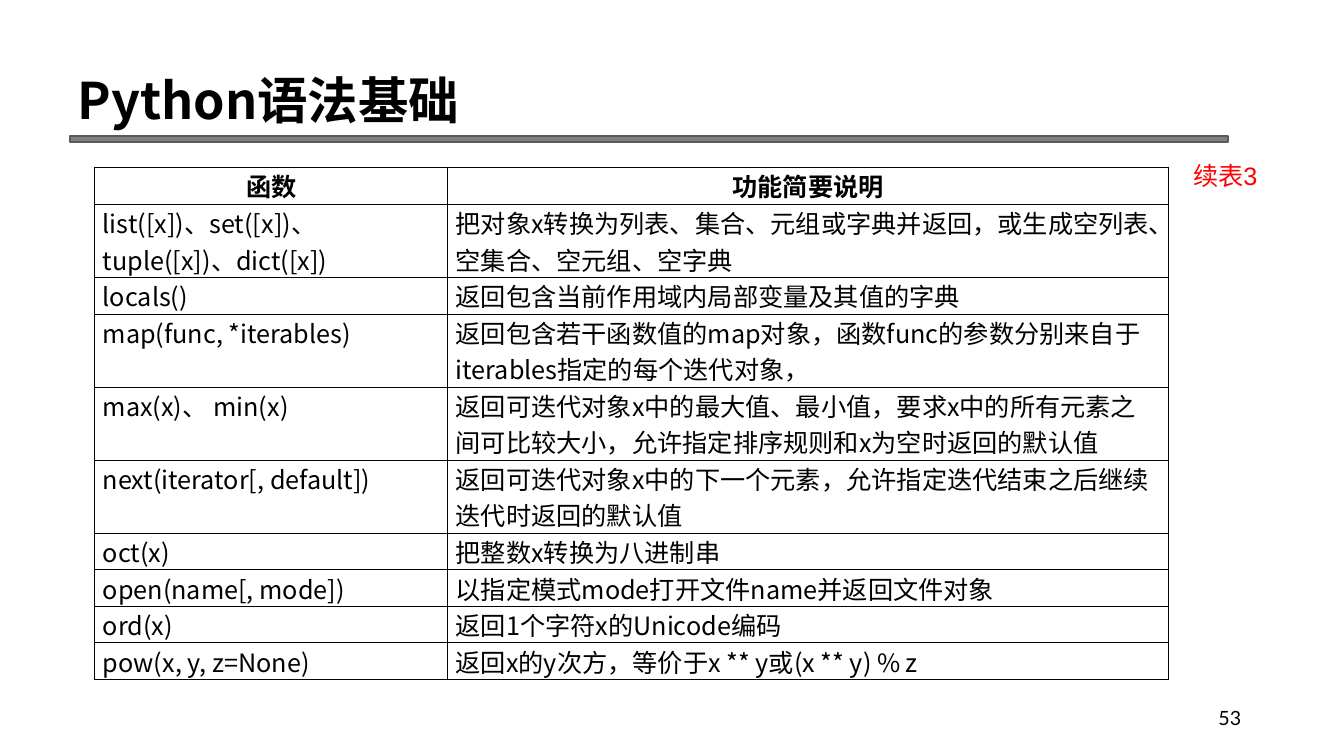
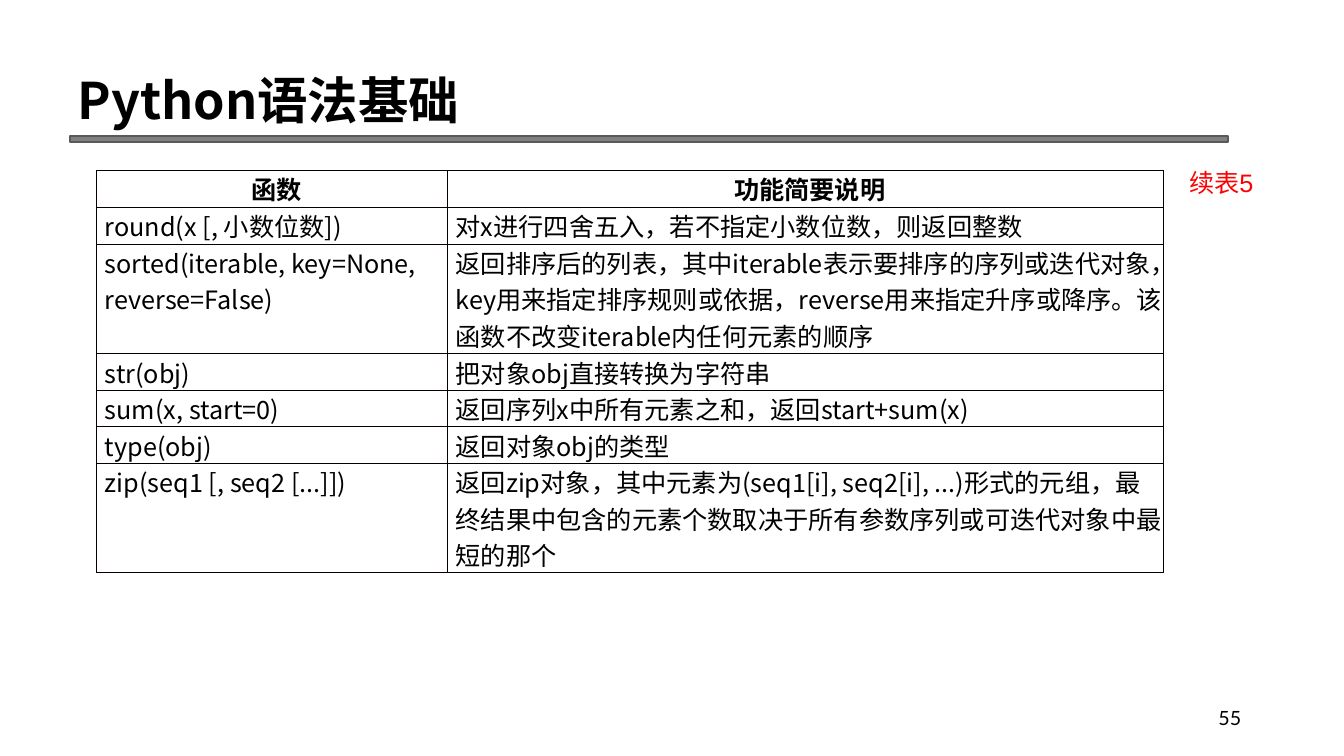
"""Build two slides that list Python built-in functions in tables."""
import dataclasses

import lxml.etree
import pptx
import pptx.dml.color
import pptx.enum.shapes
import pptx.enum.text
import pptx.oxml.ns
import pptx.slide
import pptx.table
import pptx.text.text
import pptx.util

Inches = pptx.util.Inches
Pt = pptx.util.Pt
RGBColor = pptx.dml.color.RGBColor
Align = pptx.enum.text.PP_ALIGN
qn = pptx.oxml.ns.qn

BLACK = RGBColor(0x00, 0x00, 0x00)
RED = RGBColor(0xFF, 0x00, 0x00)
GRAY = RGBColor(0x80, 0x80, 0x80)
DARK = RGBColor(0x59, 0x59, 0x59)
RULE = RGBColor(0x08, 0x00, 0x00)
SANS = "Noto Sans CJK SC"
TITLE = "Python语法基础"


@dataclasses.dataclass(frozen=True)
class Style:
    """Look of a run of text."""
    size: int
    font: str = SANS
    color: RGBColor = BLACK
    bold: bool = False


@dataclasses.dataclass(frozen=True)
class Box:
    """Place of an object in inches."""
    left: float
    top: float
    width: float
    height: float

    def emu(self) -> list[int]:
        """Return the four lengths for python-pptx."""
        return [Inches(v) for v in dataclasses.astuple(self)]


@dataclasses.dataclass(frozen=True)
class Row:
    """One table row and the number of lines it takes."""
    name: str
    use: str
    lines: int = 1


@dataclasses.dataclass(frozen=True)
class Page:
    """Content of one slide."""
    number: str
    label: str
    spot: Box
    left: float
    top: float
    cols: tuple[float, float]
    inset: float
    rows: list[Row]


HEAD = Row("函数", "功能简要说明")
TITLE_STYLE = Style(36, bold=True)
HEAD_STYLE = Style(18, bold=True)
CELL_STYLE = Style(18)
LABEL_STYLE = Style(18, "Arial", RED)
NUMBER_STYLE = Style(14, "Lato")
TITLE_BOX = Box(0.67, 0.09, 11.36, 1.25)
BAR_BOX = Box(0.69, 1.35, 11.49, 0.06)
NUMBER_BOX = Box(9.41, 6.95, 3, 0.4)
HEAD_TALL = Inches(0.37)
LINE_TALL = Pt(26.1)

PAGES = [
    Page("53", "续表3", Box(11.13, 1.54, 1.44, 0.4), 0.94, 1.66, (3.5, 7.15), 0.08, [
        Row("list([x])、set([x])、tuple([x])、dict([x])",
            "把对象x转换为列表、集合、元组或字典并返回，或生成空列表、空集合、空元组、空字典", 2),
        Row("locals()", "返回包含当前作用域内局部变量及其值的字典"),
        Row("map(func, *iterables)",
            "返回包含若干函数值的map对象，函数func的参数分别来自于iterables指定的每个迭代对象，", 2),
        Row("max(x)、 min(x)",
            "返回可迭代对象x中的最大值、最小值，要求x中的所有元素之间可比较大小，"
            "允许指定排序规则和x为空时返回的默认值", 2),
        Row("next(iterator[, default])",
            "返回可迭代对象x中的下一个元素，允许指定迭代结束之后继续迭代时返回的默认值", 2),
        Row("oct(x)", "把整数x转换为八进制串"),
        Row("open(name[, mode])", "以指定模式mode打开文件name并返回文件对象"),
        Row("ord(x)", "返回1个字符x的Unicode编码"),
        Row("pow(x, y, z=None)", "返回x的y次方，等价于x ** y或(x ** y) % z"),
    ]),
    Page("55", "续表5", Box(11.09, 1.61, 1.44, 0.4), 0.96, 1.69, (3.48, 7.1), 0, [
        Row("round(x [, 小数位数])", "对x进行四舍五入，若不指定小数位数，则返回整数"),
        Row("sorted(iterable, key=None, reverse=False)",
            "返回排序后的列表，其中iterable表示要排序的序列或迭代对象，"
            "key用来指定排序规则或依据，reverse用来指定升序或降序。"
            "该函数不改变iterable内任何元素的顺序", 3),
        Row("str(obj)", "把对象obj直接转换为字符串"),
        Row("sum(x, start=0)", "返回序列x中所有元素之和，返回start+sum(x)"),
        Row("type(obj)", "返回对象obj的类型"),
        Row("zip(seq1 [, seq2 [...]])",
            "返回zip对象，其中元素为(seq1[i], seq2[i], ...)形式的元组，"
            "最终结果中包含的元素个数取决于所有参数序列或可迭代对象中最短的那个", 3),
    ]),
]


def write(frame: pptx.text.text.TextFrame, text: str, style: Style,
          align: Align = Align.LEFT) -> None:
    """Add one styled run to the first paragraph."""
    para = frame.paragraphs[0]
    para.alignment = align
    run = para.add_run()
    run.text = text
    font = run.font
    font.size = Pt(style.size)
    font.bold = style.bold
    font.color.rgb = style.color
    font.name = style.font
    east = lxml.etree.SubElement(font._element, qn("a:ea"))
    east.set("typeface", SANS)


def add_text(slide: pptx.slide.Slide, box: Box, text: str, style: Style) -> None:
    """Add a text box aligned to the right."""
    frame = slide.shapes.add_textbox(*box.emu()).text_frame
    frame.word_wrap = True
    write(frame, text, style, Align.RIGHT)


def add_bar(slide: pptx.slide.Slide) -> None:
    """Draw the bar under the title."""
    kind = pptx.enum.shapes.MSO_SHAPE.RECTANGLE
    bar = slide.shapes.add_shape(kind, *BAR_BOX.emu())
    bar.shadow.inherit = False
    bar.fill.solid()
    bar.fill.fore_color.rgb = GRAY
    bar.line.color.rgb = DARK
    bar.line.width = Pt(1.5)


def set_title(slide: pptx.slide.Slide) -> None:
    """Place and fill the title."""
    title = slide.shapes.title
    title.left, title.top, title.width, title.height = TITLE_BOX.emu()
    frame = title.text_frame
    frame.auto_size = pptx.enum.text.MSO_AUTO_SIZE.NONE
    frame.vertical_anchor = pptx.enum.text.MSO_ANCHOR.BOTTOM
    write(frame, TITLE, TITLE_STYLE)


def set_edges(cell: pptx.table._Cell) -> None:
    """Draw the four borders of a cell."""
    props = cell._tc.get_or_add_tcPr()
    for tag in ("a:lnL", "a:lnR", "a:lnT", "a:lnB"):
        edge = lxml.etree.SubElement(props, qn(tag), w=str(Pt(1)))
        fill = lxml.etree.SubElement(edge, qn("a:solidFill"))
        lxml.etree.SubElement(fill, qn("a:srgbClr"), val=str(RULE))


def add_grid(slide: pptx.slide.Slide, page: Page) -> None:
    """Add the table of functions."""
    rows = [HEAD, *page.rows]
    talls = [HEAD_TALL, *(LINE_TALL * row.lines for row in page.rows)]
    frame = slide.shapes.add_table(
        len(rows), len(page.cols), Inches(page.left), Inches(page.top),
        Inches(sum(page.cols)), sum(talls))
    grid = frame.table
    grid.horz_banding = False
    for col, width in zip(grid.columns, page.cols):
        col.width = Inches(width)
    for line, row, tall in zip(grid.rows, rows, talls):
        line.height = tall
        style, align = CELL_STYLE, Align.LEFT
        if row is HEAD:
            style, align = HEAD_STYLE, Align.CENTER
        for cell, text in zip(line.cells, (row.name, row.use)):
            cell.margin_left = Inches(0.08)
            cell.margin_right = Inches(page.inset)
            cell.margin_top = cell.margin_bottom = 0
            set_edges(cell)
            cell.fill.background()
            write(cell.text_frame, text, style, align)


def main() -> None:
    """Build and save the deck."""
    deck = pptx.Presentation()
    deck.slide_width = Inches(13.33)
    deck.slide_height = Inches(7.5)
    layout = deck.slide_layouts.get_by_name("Title Only")
    for page in PAGES:
        slide = deck.slides.add_slide(layout)
        add_bar(slide)
        set_title(slide)
        add_text(slide, NUMBER_BOX, page.number, NUMBER_STYLE)
        add_grid(slide, page)
        add_text(slide, page.spot, page.label, LABEL_STYLE)
    deck.save("out.pptx")


if __name__ == "__main__":
    main()
